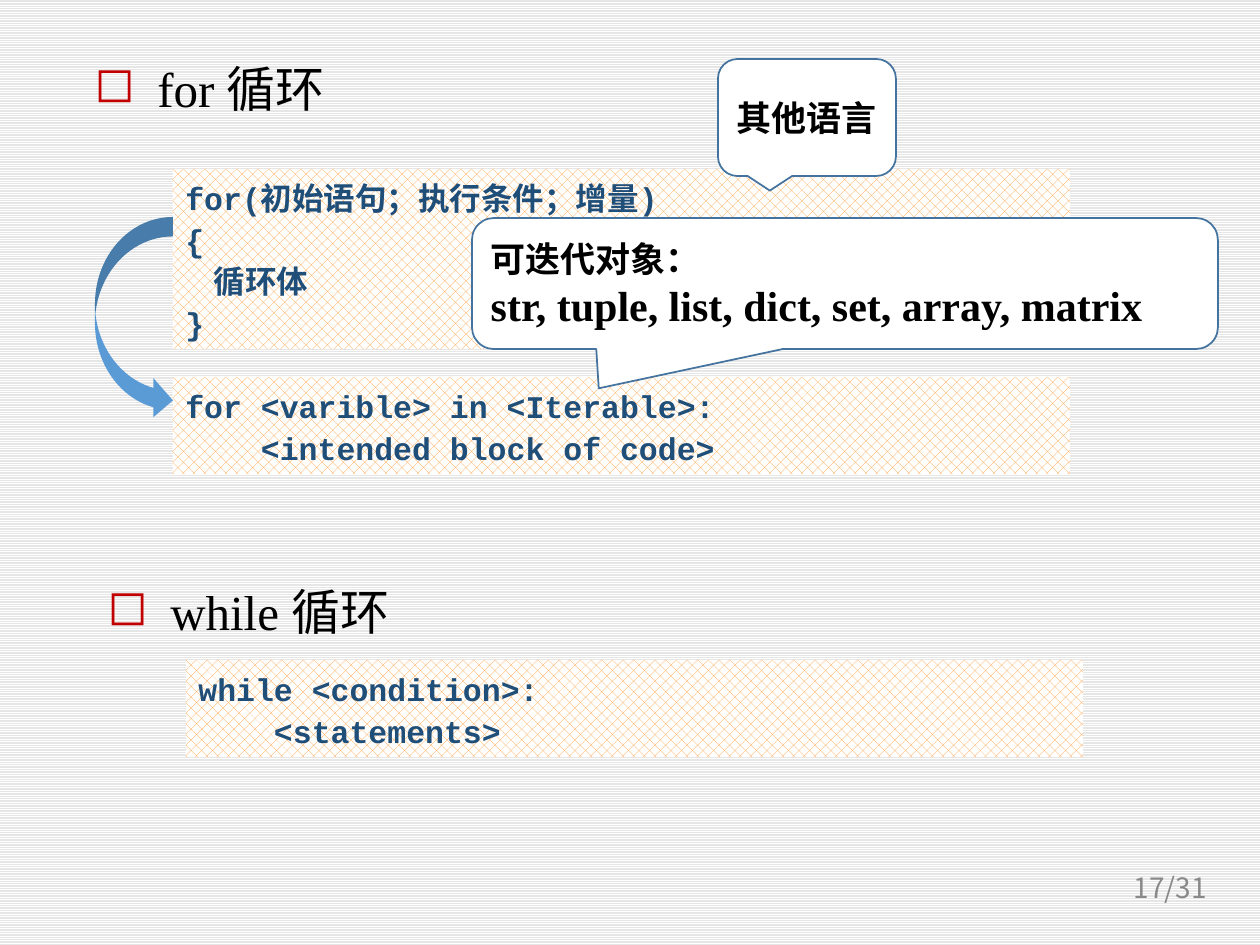
from lxml.etree import SubElement
from pptx import Presentation
from pptx.dml.color import RGBColor
from pptx.enum.dml import MSO_PATTERN
from pptx.enum.shapes import MSO_SHAPE
from pptx.enum.text import MSO_ANCHOR, PP_ALIGN
from pptx.oxml.ns import qn
from pptx.util import Emu, Pt

WHITE = RGBColor(0xFF, 0xFF, 0xFF)
BLACK = RGBColor(0, 0, 0)
STRIPE_GRAY = RGBColor(0xE7, 0xE6, 0xE6)
NUMBER_GRAY = RGBColor(0x89, 0x89, 0x89)
BULLET_RED = RGBColor(0xC0, 0x00, 0x00)
HATCH_ORANGE = RGBColor(0xFF, 0x99, 0x33)
CODE_BLUE = RGBColor(0x1F, 0x4E, 0x79)
ARROW_BLUE = RGBColor(0x5B, 0x9B, 0xD5)
OUTLINE_BLUE = RGBColor(0x43, 0x73, 0x9E)


def px(*lengths):
    """Turn pixel lengths into EMU, at 126 px to the inch."""
    return [Emu(round(length * 914400 / 126)) for length in lengths]


def set_pattern(fill, pattern, fore, back):
    """Give a fill a two-colour pattern."""
    fill.patterned()
    fill.pattern = pattern
    fill.fore_color.rgb = fore
    fill.back_color.rgb = back


def write_lines(frame, lines, font_name, sizes, color, bold=False,
                align=PP_ALIGN.LEFT, anchor=MSO_ANCHOR.TOP, spacing=None):
    """Write one paragraph per line."""
    frame.word_wrap = True
    frame.vertical_anchor = anchor
    for _ in lines[1:]:
        frame.add_paragraph()
    for paragraph, line, size in zip(frame.paragraphs, lines, sizes):
        paragraph.text = line
        paragraph.alignment = align
        paragraph.line_spacing = spacing
        font = paragraph.font
        font.name, font.size, font.bold = font_name, Pt(size), bold
        font.color.rgb = color


def add_panel(slide, kind, box):
    """Add a preset shape without shadow or outline."""
    panel = slide.shapes.add_shape(kind, *px(*box))
    panel.shadow.inherit = False
    panel.line.fill.background()
    return panel


def add_heading(slide, left, top, title):
    """Add a loop heading with a red square bullet."""
    heading = slide.shapes.add_textbox(*px(left, top, 1123, 72))
    properties = heading.text_frame.paragraphs[0]._p.get_or_add_pPr()
    indent, = px(63)
    properties.set("marL", str(indent))
    properties.set("indent", str(-indent))
    bullet_color = SubElement(properties, qn("a:buClr"))
    SubElement(bullet_color, qn("a:srgbClr"), val=str(BULLET_RED))
    SubElement(properties, qn("a:buChar"), char="◻")
    write_lines(heading.text_frame, [title], "Times New Roman", [28], BLACK)


def add_code(slide, left, top, height, lines):
    """Add a hatched panel of code lines."""
    code = add_panel(slide, MSO_SHAPE.RECTANGLE, (left, top, 897, height))
    set_pattern(code.fill, MSO_PATTERN.from_xml("pct40"), HATCH_ORANGE, WHITE)
    write_lines(code.text_frame, lines, "Courier New", [18] * len(lines),
                CODE_BLUE, bold=True, spacing=1.1)


def add_callout(slide, box, lines, font_name, sizes, align, tail=None):
    """Add a white speech balloon, with its tail tip given as ratios."""
    callout = add_panel(slide, MSO_SHAPE.ROUNDED_RECTANGULAR_CALLOUT, box)
    callout.fill.solid()
    callout.fill.fore_color.rgb = WHITE
    callout.line.color.rgb = OUTLINE_BLUE
    callout.line.width = Pt(1)
    if tail:
        callout.adjustments[0], callout.adjustments[1] = tail
    write_lines(callout.text_frame, lines, font_name, sizes, BLACK,
                bold=True, align=align, anchor=MSO_ANCHOR.MIDDLE)


def add_for_section(slide, left, top):
    """Compare the for loop of other languages with the Python one."""
    add_heading(slide, left, top, "for 循环")
    add_code(slide, left + 91, top + 117, 180,
             ["for(初始语句；执行条件；增量)", "{", "    循环体", "}"])
    add_code(slide, left + 91, top + 325, 97,
             ["for <varible> in <Iterable>:", "    <intended block of code>"])
    arrow = add_panel(slide, MSO_SHAPE.CURVED_RIGHT_ARROW,
                      (left + 13, top + 165, 78, 203))
    arrow.fill.solid()
    arrow.fill.fore_color.rgb = ARROW_BLUE
    add_callout(slide, (left + 636, top + 7, 178, 117), ["其他语言"],
                "Calibri", [20], PP_ALIGN.CENTER)
    add_callout(slide, (left + 390, top + 166, 746, 131),
                ["可迭代对象：", "str, tuple, list, dict, set, array, matrix"],
                "Times New Roman", [20, 24], PP_ALIGN.LEFT, (-0.33, 0.8))


def add_while_section(slide, left, top):
    """Show the form of the while loop."""
    add_heading(slide, left, top, "while 循环")
    add_code(slide, left + 91, top + 85, 97,
             ["while <condition>:", "    <statements>"])


def add_page_number(slide, left, top):
    """Add the page number."""
    number = slide.shapes.add_textbox(*px(left, top, 117, 50))
    write_lines(number.text_frame, ["17/31"], "Noto Sans CJK SC", [16],
                NUMBER_GRAY, align=PP_ALIGN.RIGHT, anchor=MSO_ANCHOR.MIDDLE)


def main():
    """Build the slide on for and while loops."""
    deck = Presentation()
    deck.slide_width, deck.slide_height = px(1260, 945)
    slide = deck.slides.add_slide(deck.slide_layouts[6])
    set_pattern(slide.background.fill, MSO_PATTERN.LIGHT_HORIZONTAL,
                WHITE, STRIPE_GRAY)
    add_page_number(slide, 1102, 862)
    add_for_section(slide, 82, 52)
    add_while_section(slide, 95, 575)
    deck.save("out.pptx")


if __name__ == "__main__":
    main()
